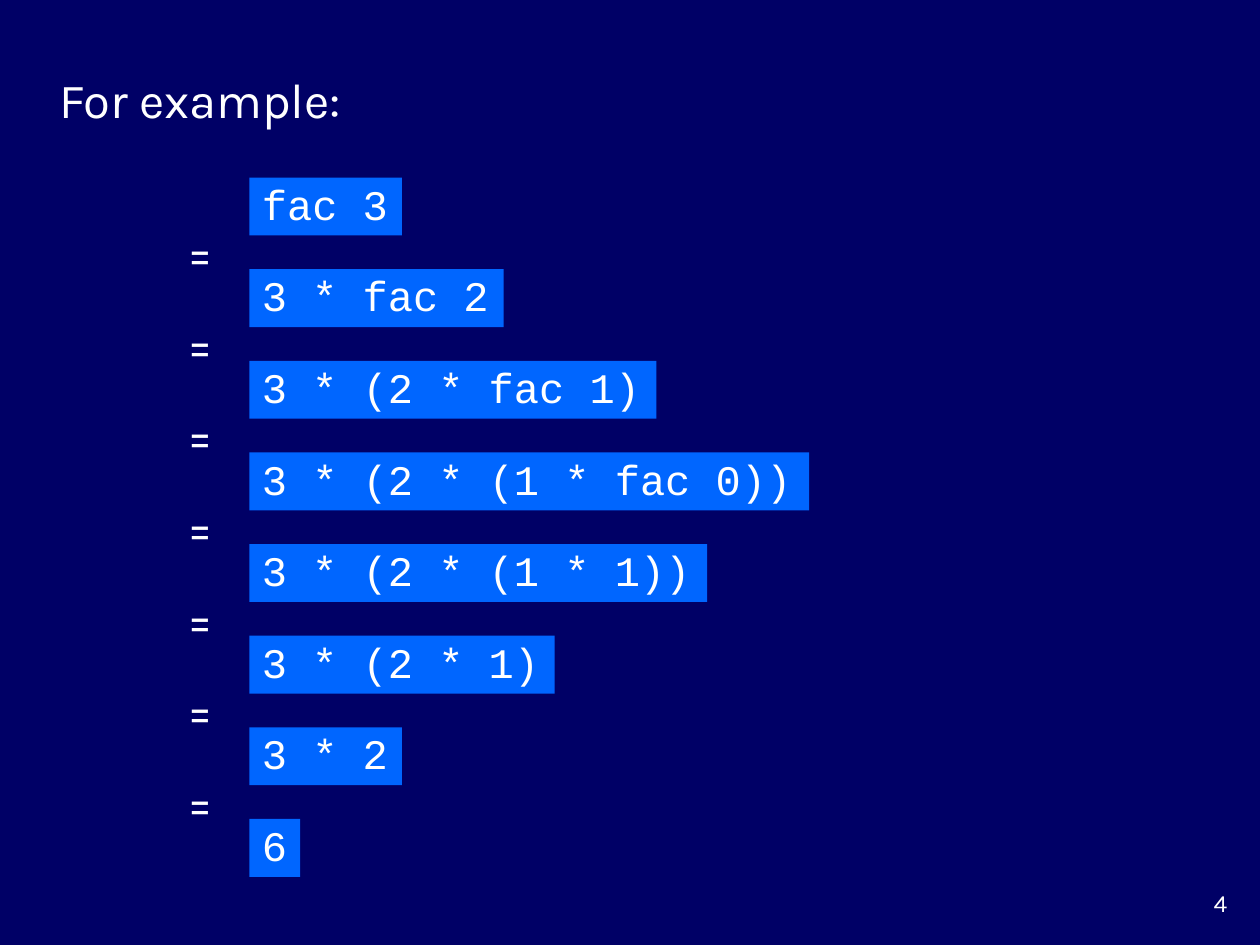
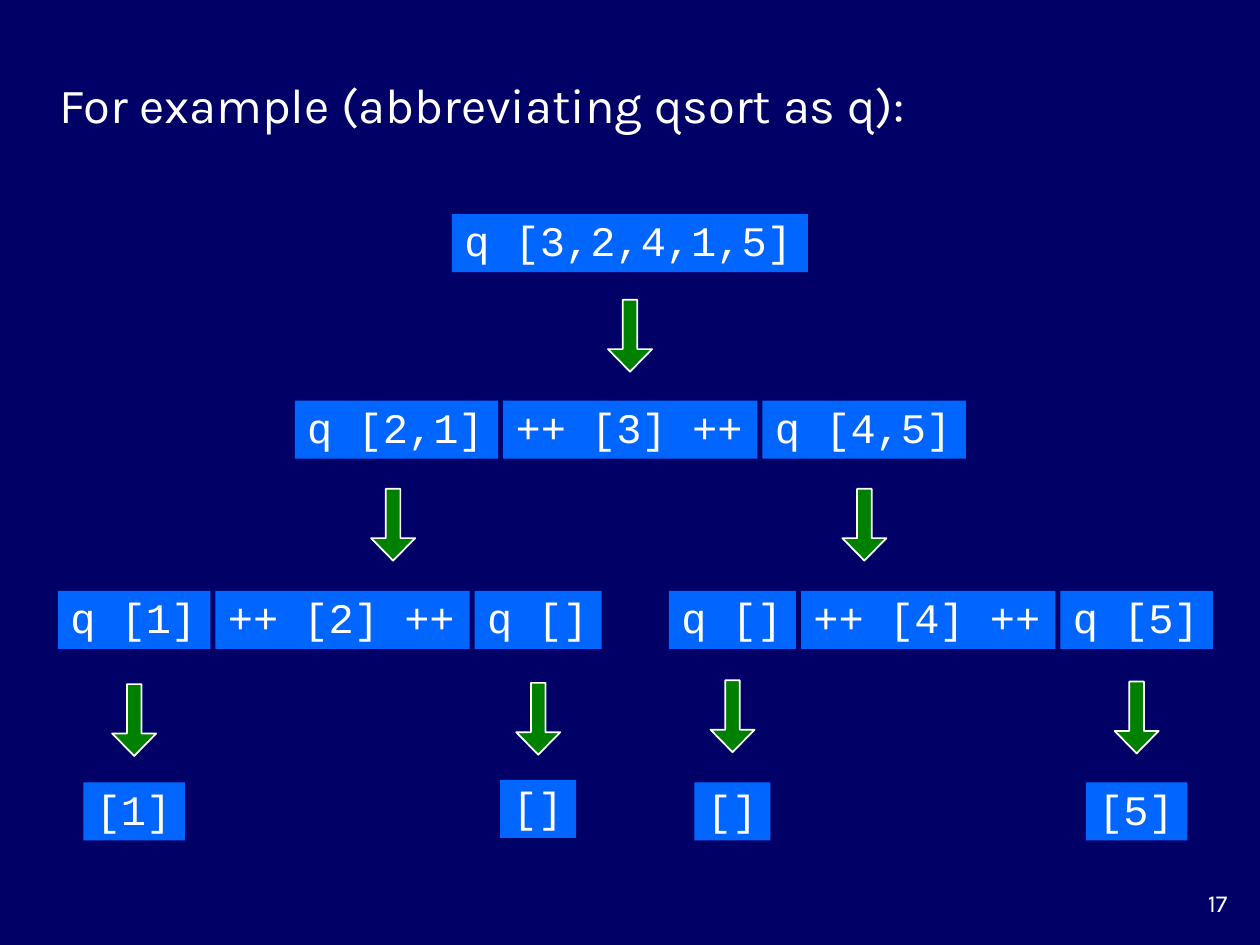
from pptx import Presentation
from pptx.dml.color import RGBColor
from pptx.enum.shapes import MSO_SHAPE
from pptx.enum.text import MSO_ANCHOR, MSO_AUTO_SIZE, PP_ALIGN
from pptx.util import Inches, Pt

COLORS = {"background": "000066", "code": "0066FF", "arrow": "008000", "text": "FFFFFF"}
BODY_FONT = "Karla"
CODE_FONT = "Courier New"
CODE_HEIGHT = 0.46
CODE_GAP = 0.04
ARROW_WIDTH, ARROW_HEIGHT = 0.35, 0.57


def color(name):
    """Return a palette colour."""
    return RGBColor.from_string(COLORS[name])


def code_width(text):
    """Return the width of a code box: side margins plus one step per character."""
    return 0.2 + 0.202 * len(text)


class Deck:
    """Holds the shared style and the current slide."""

    def __init__(self):
        self.presentation = Presentation()
        self.presentation.slide_width = Inches(10)
        self.presentation.slide_height = Inches(7.5)
        self.slide = None

    def add_slide(self, number):
        """Start a slide with the dark background and its page number."""
        self.slide = self.presentation.slides.add_slide(self.presentation.slide_layouts[6])
        fill = self.slide.background.fill
        fill.solid()
        fill.fore_color.rgb = color("background")
        self.label(str(number), 9.17, 7, 0.67, 0.33, 14, PP_ALIGN.RIGHT, wrap=True)

    def set_text(self, shape, text, size, font, align, wrap):
        """Put one styled line of text into a shape."""
        frame = shape.text_frame
        frame.text = text
        frame.word_wrap = wrap
        paragraph = frame.paragraphs[0]
        paragraph.alignment = align
        run = paragraph.runs[0]
        run.font.size = Pt(size)
        run.font.name = font
        run.font.color.rgb = color("text")

    def fit(self, shape):
        """Centre the text vertically and let the shape grow with it."""
        shape.text_frame.vertical_anchor = MSO_ANCHOR.MIDDLE
        shape.text_frame.auto_size = MSO_AUTO_SIZE.SHAPE_TO_FIT_TEXT

    def label(self, text, left, top, width, height, size, align, wrap=False):
        """Add plain text and return its box."""
        box = self.slide.shapes.add_textbox(
            Inches(left), Inches(top), Inches(width), Inches(height))
        self.set_text(box, text, size, BODY_FONT, align, wrap)
        return box

    def title(self, text, top, width, wrap=False):
        """Add the slide title."""
        self.fit(self.label(text, 0.37, top, width, 0.57, 28, PP_ALIGN.LEFT, wrap))

    def equals(self, top):
        """Add the equals sign between two evaluation steps."""
        self.fit(self.label("=", 1.35, top, 0.48, 0.57, 28, PP_ALIGN.CENTER))

    def filled(self, kind, left, top, width, height, fill):
        """Add a flat preset shape without an outline."""
        shape = self.slide.shapes.add_shape(
            kind, Inches(left), Inches(top), Inches(width), Inches(height))
        shape.shadow.inherit = False
        shape.fill.solid()
        shape.fill.fore_color.rgb = color(fill)
        shape.line.fill.background()
        return shape

    def code(self, text, left, top):
        """Add a code box and return its horizontal centre."""
        width = code_width(text)
        box = self.filled(MSO_SHAPE.RECTANGLE, left, top, width, CODE_HEIGHT, "code")
        self.set_text(box, text, 24, CODE_FONT, PP_ALIGN.LEFT, False)
        box.text_frame.paragraphs[0].line_spacing = 0.9
        self.fit(box)
        return left + width / 2

    def code_centred(self, text, centre, top):
        """Add a code box around a horizontal centre."""
        self.code(text, centre - code_width(text) / 2, top)

    def code_row(self, texts, left, top):
        """Add adjoining code boxes and return their centres."""
        centres = []
        for text in texts:
            centres.append(self.code(text, left, top))
            left += code_width(text) + CODE_GAP
        return centres

    def arrow(self, centre, top):
        """Add a down arrow around a horizontal centre."""
        arrow = self.filled(MSO_SHAPE.DOWN_ARROW, centre - ARROW_WIDTH / 2, top,
                            ARROW_WIDTH, ARROW_HEIGHT, "arrow")
        arrow.adjustments[0] = 0.33
        arrow.adjustments[1] = 0.51
        arrow.line.color.rgb = color("text")
        arrow.line.width = Pt(1)


def factorial_slide(deck):
    """Show the evaluation of a factorial step by step."""
    deck.add_slide(4)
    deck.title("For example:", 0.5, 2.45)
    steps = ["fac 3", "3 * fac 2", "3 * (2 * fac 1)", "3 * (2 * (1 * fac 0))",
             "3 * (2 * (1 * 1))", "3 * (2 * 1)", "3 * 2", "6"]
    first_top, last_top = 1.41, 6.5
    pitch = (last_top - first_top) / (len(steps) - 1)
    for index, step in enumerate(steps):
        top = first_top + index * pitch
        deck.code(step, 1.98, top)
        if index:
            deck.equals(top - 0.43)


def quicksort_slide(deck):
    """Show the quicksort calls as a tree."""
    deck.add_slide(17)
    deck.title("For example (abbreviating qsort as q):", 0.54, 9.09, wrap=True)
    deck.code_centred("q [3,2,4,1,5]", 5, 1.7)
    deck.arrow(5, 2.38)
    deck.code_row(["q [2,1]", "++ [3] ++", "q [4,5]"], 2.34, 3.18)
    for centre in (3.12, 6.86):
        deck.arrow(centre, 3.88)

    # Each branch: calls, left edge, then (result, arrow top, result top) at both ends
    branches = [
        (["q [1]", "++ [2] ++", "q []"], 0.46, [("[1]", 5.43, 6.21), ("[]", 5.42, 6.19)]),
        (["q []", "++ [4] ++", "q [5]"], 5.31, [("[]", 5.4, 6.21), ("[5]", 5.41, 6.21)]),
    ]
    for calls, left, results in branches:
        centres = deck.code_row(calls, left, 4.69)
        for centre, (text, arrow_top, top) in zip((centres[0], centres[-1]), results):
            deck.arrow(centre, arrow_top)
            deck.code_centred(text, centre, top)


deck = Deck()
factorial_slide(deck)
quicksort_slide(deck)
deck.presentation.save("out.pptx")
